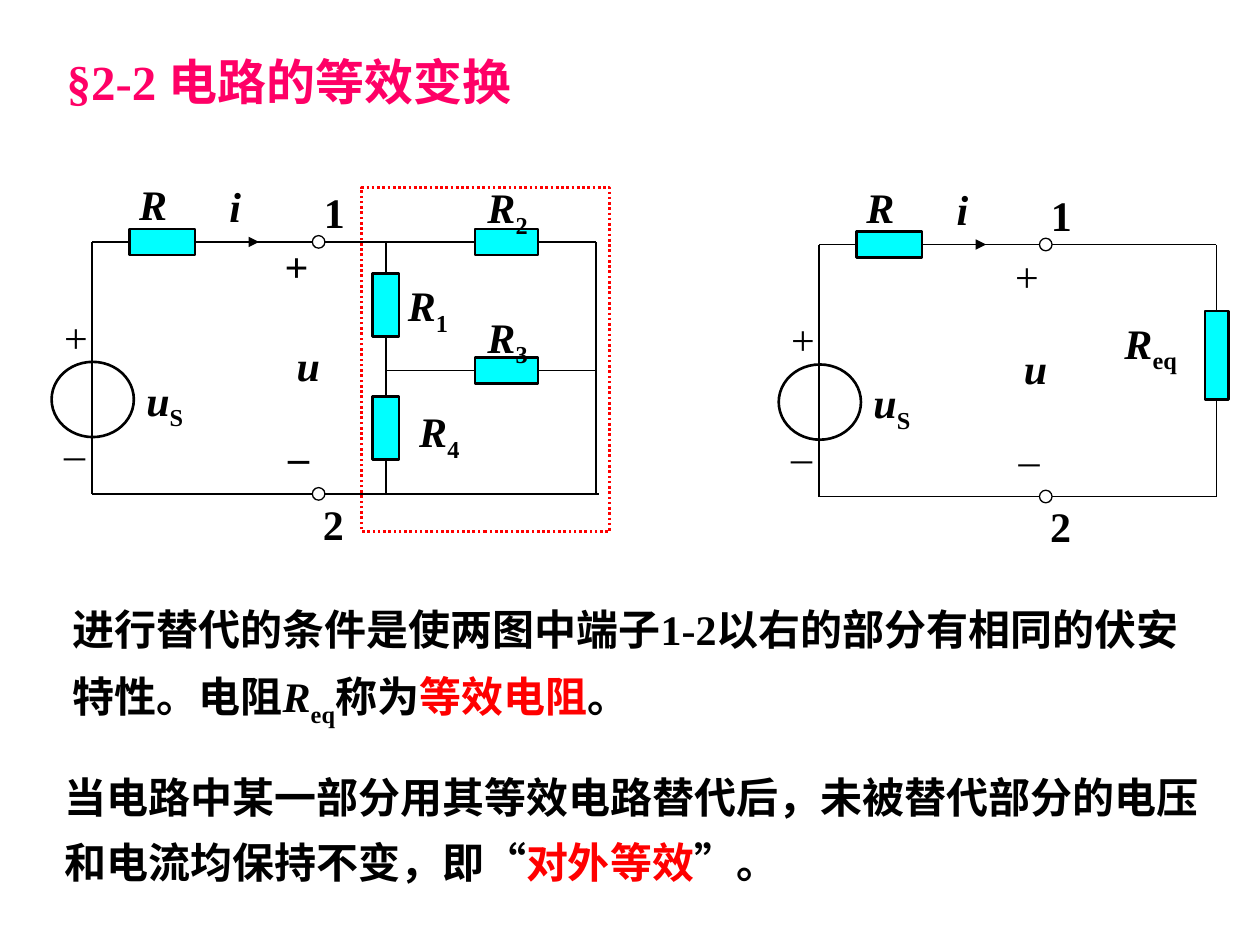
from lxml.etree import SubElement
from pptx import Presentation
from pptx.dml.color import RGBColor
from pptx.enum.dml import MSO_LINE_DASH_STYLE as Dash
from pptx.enum.shapes import MSO_CONNECTOR as Connector, MSO_SHAPE as Shape
from pptx.oxml.ns import qn
from pptx.util import Pt

FONT = "Times New Roman"
BLACK, WHITE, CYAN, RED, PINK = "000000", "FFFFFF", "00FFFF", "FF0000", "FF0066"

# Style letters: b bold, i italic, s subscript, r red, p pink
TITLE = [("§2-2 电路的等效变换", "bp")]
CONDITION = [
    ("进行替代的条件是使两图中端子1-2以右的部分有相同的伏安特性。电阻", "b"),
    ("R", "bi"), ("eq", "bs"), ("称为", "b"), ("等效电阻", "br"), ("。", "b"),
]
CONCLUSION = [
    ("当电路中某一部分用其等效电路替代后，未被替代部分的电压和电流均保持不变，即“", "b"),
    ("对外等效", "br"), ("”。", "b"),
]

# All circuit coordinates are relative to the circuit's top left corner
HEIGHT = 144
SOURCE_WIRES = [
    (81, 0, 0, 0), (0, 0, 0, HEIGHT), (0, HEIGHT, 85, HEIGHT),
    (72, 0, 120, 0), (121, HEIGHT, 72, HEIGHT),
]
CURRENT_ARROW = (81, 0, 95.5, 0)
SERIES_RESISTOR = (21.5, -7.5, 37.5, 15)
VOLTAGE_SOURCE = (-23, 68.5, 47, 43)
TERMINAL_X, TERMINAL_SIZE = 129.6, 7.2
SOURCE_LABELS = [
    (-23, 36, 23, [("+", "")]),
    (-23, 94.5, 23, [("_", "")]),
    (24, 72, 48, [("u", "bi"), ("S", "bs")]),
    (110, 52.5, 36, [("u", "bi")]),
    (125.5, -35, 28, [("1", "b")]),
    (125, 143, 28, [("2", "b")]),
    (20, -39.5, 50, [("R", "bi")]),
    (71.5, -38.5, 26, [("i", "bi")]),
]

CIRCUITS = [
    dict(
        origin=(52.5, 138.25),
        wires=[
            (168, 73.5, 288, 73.5, 0.75), (119.5, 0, 288, 0, 1),
            (121, HEIGHT, 289.5, HEIGHT, 1), (168, 0, 168, HEIGHT, 1),
            (288, 0, 288, HEIGHT, 1),
        ],
        resistors=[
            (160.5, 18, 15, 36), (219, -7.5, 36, 15),
            (219, 66, 36, 15), (160.5, 88.5, 15, 36),
        ],
        labels=[
            (173.5, 18, 42, [("R", "bi"), ("1", "bs")]),
            (219, -38, 42, [("R", "bi"), ("2", "bs")]),
            (219, 36, 42, [("R", "bi"), ("3", "bs")]),
            (180, 90, 42, [("R", "bi"), ("4", "bs")]),
            (103, -4.5, 32, [("+", "b")]),
            (105, 96, 32, [("_", "b")]),
        ],
        replaced_part=(154, -31, 142, 196.5),
    ),
    dict(
        origin=(468, 139.75),
        wires=[
            (119.5, 0, 227, 0, 0.75), (227, 0, 227, HEIGHT, 0.75),
            (111.5, HEIGHT, 227, HEIGHT, 0.75),
        ],
        resistors=[(220.5, 38, 13.5, 50.5)],
        labels=[
            (167.5, 38, 47.5, [("R", "bi"), ("eq", "bs")]),
            (105, 0, 36, [("+", "")]),
            (107, 96.5, 36, [("_", "")]),
        ],
        replaced_part=None,
    ),
]


def rgb(color):
    return RGBColor.from_string(color)


def add_text(slide, box, runs, size=24, spacing=None):
    frame = slide.shapes.add_textbox(*map(Pt, box)).text_frame
    frame.word_wrap = True
    paragraph = frame.paragraphs[0]
    if spacing:
        paragraph.line_spacing = spacing
    for words, style in runs:
        run = paragraph.add_run()
        run.text = words
        font = run.font
        font.name, font.size = FONT, Pt(size)
        font.bold, font.italic = "b" in style, "i" in style
        font.color.rgb = rgb(RED if "r" in style else PINK if "p" in style else BLACK)
        if "s" in style:
            run._r.get_or_add_rPr().set("baseline", "-25000")


def add_wire(slide, x1, y1, x2, y2, width=0.75, arrow=False):
    wire = slide.shapes.add_connector(Connector.STRAIGHT, *map(Pt, (x1, y1, x2, y2)))
    wire.line.color.rgb = rgb(BLACK)
    wire.line.width = Pt(width)
    if arrow:
        SubElement(wire.line._get_or_add_ln(), qn("a:tailEnd"), type="triangle")
    SubElement(wire._element.spPr, qn("a:effectLst"))


def add_part(slide, kind, box, fill=None, line=BLACK, width=1.5):
    part = slide.shapes.add_shape(kind, *map(Pt, box))
    part.shadow.inherit = False
    if fill:
        part.fill.solid()
        part.fill.fore_color.rgb = rgb(fill)
    else:
        part.fill.background()
    part.line.color.rgb = rgb(line)
    part.line.width = Pt(width)
    return part


def add_circuit(slide, origin, wires, resistors, labels, replaced_part):
    left, top = origin

    def place(x, y, *size):
        return (left + x, top + y, *size)

    def span(x1, y1, x2, y2):
        return place(x1, y1) + place(x2, y2)

    for *ends, width in wires:
        add_wire(slide, *span(*ends), width)
    for ends in SOURCE_WIRES:
        add_wire(slide, *span(*ends))
    add_wire(slide, *span(*CURRENT_ARROW), arrow=True)
    for box in [SERIES_RESISTOR] + resistors:
        add_part(slide, Shape.RECTANGLE, place(*box), CYAN)
    add_part(slide, Shape.OVAL, place(*VOLTAGE_SOURCE))
    for y in (0, HEIGHT):
        box = place(TERMINAL_X - TERMINAL_SIZE / 2, y - TERMINAL_SIZE / 2,
                    TERMINAL_SIZE, TERMINAL_SIZE)
        add_part(slide, Shape.OVAL, box, WHITE, width=0.75)
    for x, y, width, runs in SOURCE_LABELS + labels:
        add_text(slide, place(x, y, width, 40 if len(runs) > 1 else 36), runs)
    if replaced_part:
        outline = add_part(slide, Shape.RECTANGLE, place(*replaced_part), line=RED)
        outline.line.dash_style = Dash.ROUND_DOT


def main():
    deck = Presentation()
    deck.slide_width, deck.slide_height = Pt(720), Pt(540)
    slide = deck.slides.add_slide(deck.slide_layouts[6])
    add_text(slide, (31, 26, 312, 39.5), TITLE, size=28)
    for circuit in CIRCUITS:
        add_circuit(slide, **circuit)
    add_text(slide, (34.5, 332.5, 669.5, 87), CONDITION, spacing=1.3)
    add_text(slide, (29.5, 428.5, 674.5, 82), CONCLUSION, spacing=1.3)
    deck.save("out.pptx")


if __name__ == "__main__":
    main()
